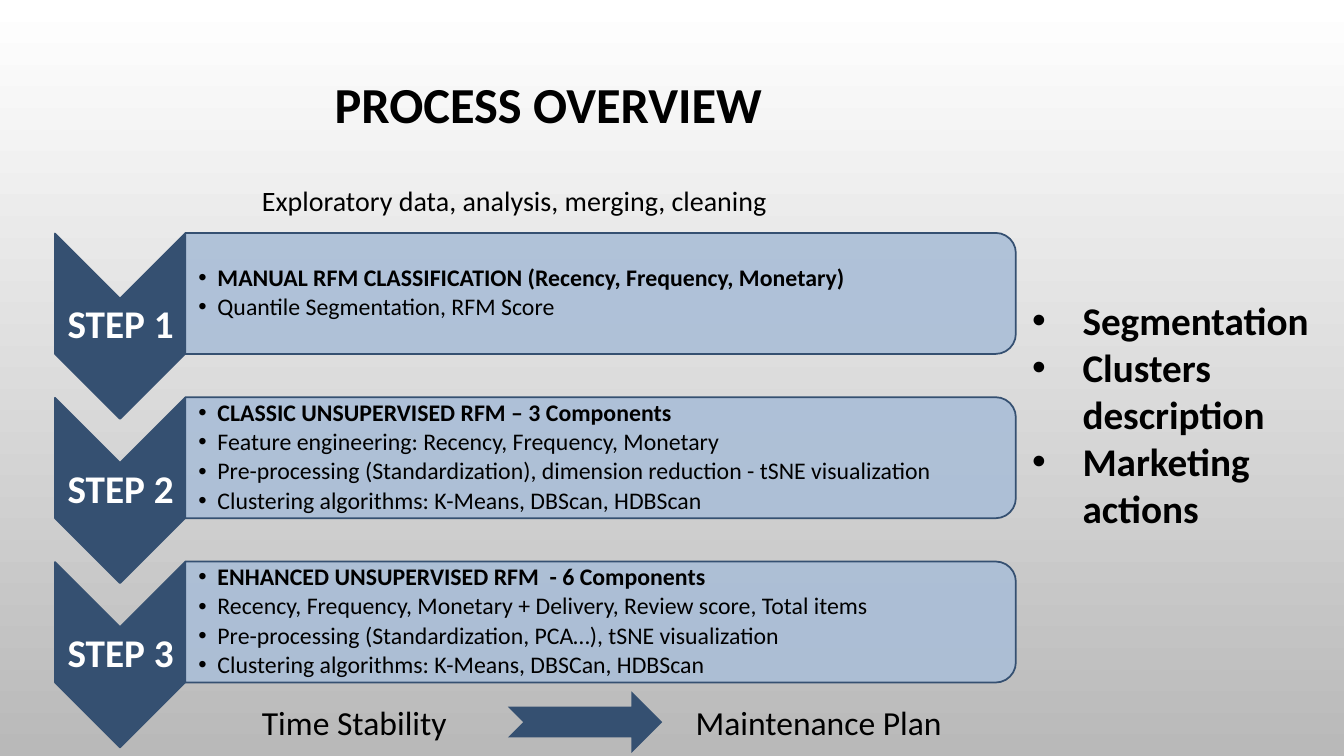
from dataclasses import dataclass

from lxml.etree import SubElement
from pptx import Presentation
from pptx.dml.color import RGBColor
from pptx.enum.shapes import MSO_SHAPE as Preset
from pptx.enum.text import MSO_ANCHOR as Anchor, MSO_AUTO_SIZE as AutoSize, PP_ALIGN as Align
from pptx.oxml.ns import qn
from pptx.shapes.autoshape import Shape
from pptx.slide import Slide
from pptx.text.text import TextFrame, _Paragraph as Paragraph
from pptx.util import Cm, Pt


@dataclass(frozen=True)
class Theme:
    font: str = "Calibri"
    ink: str = "000000"
    light: str = "FFFFFF"
    shade: str = "B9B9B9"
    navy: str = "355071"
    panel: str = "AABED7"
    panel_opacity: int = 90
    title: int = 36
    heading: int = 28
    closing: int = 24
    intro: int = 20
    detail: int = 17
    outline: float = 1.25


@dataclass(frozen=True)
class Box:
    left: float
    top: float
    width: float
    height: float

    def down(self, distance: float) -> "Box":
        return Box(self.left, self.top + distance, self.width, self.height)

    def lengths(self) -> tuple[Cm, Cm, Cm, Cm]:
        return Cm(self.left), Cm(self.top), Cm(self.width), Cm(self.height)


@dataclass(frozen=True)
class Step:
    label: str
    method: str
    details: tuple[str, ...]


THEME = Theme()
STEP_PITCH = 4.14
CHEVRON = Box(0.69, 6.58, 4.67, 3.28)
LABEL = Box(1.4, 7.52, 3.28, 1.4)
PANEL = Box(13.61, -3.07, 3.05, 20.93)
DETAILS = Box(4.67, 6.02, 20.78, 2.74)
STEPS = (
    Step("STEP 1", "MANUAL RFM CLASSIFICATION (Recency, Frequency, Monetary)",
         ("Quantile Segmentation, RFM Score",)),
    Step("STEP 2", "CLASSIC UNSUPERVISED RFM – 3 Components",
         ("Feature engineering: Recency, Frequency, Monetary",
          "Pre-processing (Standardization), dimension reduction - tSNE visualization",
          "Clustering algorithms: K-Means, DBScan, HDBScan")),
    Step("STEP 3", "ENHANCED UNSUPERVISED RFM  - 6 Components",
         ("Recency, Frequency, Monetary + Delivery, Review score, Total items",
          "Pre-processing (Standardization, PCA…), tSNE visualization",
          "Clustering algorithms: K-Means, DBSCan, HDBScan")),
)
OUTCOMES = ("Segmentation", "Clusters description", "Marketing actions")


def rgb(colour: str) -> RGBColor:
    return RGBColor.from_string(colour)


def write(paragraph: Paragraph, text: str, size: int, bold: bool = False,
          colour: str = THEME.ink) -> None:
    run = paragraph.add_run()
    run.text = text
    run.font.name = THEME.font
    run.font.size = Pt(size)
    run.font.bold = bold
    run.font.color.rgb = rgb(colour)


def place(shape: Shape, box: Box) -> None:
    shape.left, shape.top, shape.width, shape.height = box.lengths()


def set_frame(frame: TextFrame, anchor: Anchor, margins: tuple[float, float, float, float]) -> None:
    frame.word_wrap = True
    frame.auto_size = AutoSize.NONE
    frame.vertical_anchor = anchor
    (frame.margin_left, frame.margin_top,
     frame.margin_right, frame.margin_bottom) = map(Cm, margins)


def write_list(frame: TextFrame, items: tuple[tuple[str, bool], ...], size: int,
               indent: float, spacing: float, after: float) -> None:
    for index, (text, bold) in enumerate(items):
        paragraph = frame.add_paragraph() if index else frame.paragraphs[0]
        properties = paragraph._p.get_or_add_pPr()
        properties.set("marL", str(Cm(indent)))
        properties.set("indent", str(-Cm(indent)))
        SubElement(properties, qn("a:buFont"), typeface="Arial")
        SubElement(properties, qn("a:buChar"), char="•")
        paragraph.alignment = Align.LEFT
        paragraph.line_spacing = spacing
        paragraph.space_before = Pt(0)
        paragraph.space_after = Pt(after)
        write(paragraph, text, size, bold)


def add_block(slide: Slide, preset: Preset, box: Box, fill: str, rotation: int = 0) -> Shape:
    block = slide.shapes.add_shape(preset, *box.lengths())
    block.rotation = rotation
    block.shadow.inherit = False
    block.fill.solid()
    block.fill.fore_color.rgb = rgb(fill)
    block.line.color.rgb = rgb(THEME.navy)
    block.line.width = Pt(THEME.outline)
    return block


def add_step(slide: Slide, step: Step, offset: float, details: Shape) -> None:
    add_block(slide, Preset.CHEVRON, CHEVRON.down(offset), THEME.navy, 90)

    label = slide.shapes.add_textbox(*LABEL.down(offset).lengths()).text_frame
    set_frame(label, Anchor.MIDDLE, (0.05, 0.05, 0.05, 0.05))
    label.paragraphs[0].alignment = Align.CENTER
    label.paragraphs[0].line_spacing = 0.9
    write(label.paragraphs[0], step.label, THEME.heading, True, THEME.light)

    panel = add_block(slide, Preset.ROUND_2_SAME_RECTANGLE, PANEL.down(offset), THEME.panel, 90)
    colour = panel.fill._xPr.find(qn("a:solidFill"))[0]
    SubElement(colour, qn("a:alpha"), val=str(THEME.panel_opacity * 1000))

    place(details, DETAILS.down(offset))
    details.element.getparent().append(details.element)
    set_frame(details.text_frame, Anchor.MIDDLE, (0.33, 0.03, 0.03, 0.03))
    items = ((step.method, True), *((text, False) for text in step.details))
    write_list(details.text_frame, items, THEME.detail, 0.48, 0.9, 2.5)


def add_title(slide: Slide) -> None:
    title = slide.shapes.title
    place(title, Box(1.88, 1.7, 23.88, 2))
    set_frame(title.text_frame, Anchor.MIDDLE, (0.25, 0.13, 0.25, 0.13))
    heading = title.text_frame.paragraphs[0]
    heading.alignment = Align.CENTER
    heading.line_spacing = 0.9
    write(heading, "PROCESS OVERVIEW", THEME.title, True)


def add_intro(slide: Slide) -> None:
    intro = slide.shapes.add_textbox(*Box(6.35, 4.5, 13.34, 1.12).lengths())
    intro.text_frame.word_wrap = False
    write(intro.text_frame.paragraphs[0],
          "Exploratory data, analysis, merging, cleaning", THEME.intro)


def add_outcomes(slide: Slide, outcomes: Shape) -> None:
    place(outcomes, Box(25.76, 7.34, 8.1, 6.25))
    set_frame(outcomes.text_frame, Anchor.TOP, (0.25, 0.13, 0.25, 0.13))
    items = tuple((text, True) for text in OUTCOMES)
    write_list(outcomes.text_frame, items, THEME.heading, 1.27, 1.0, 0)


def add_closing(slide: Slide) -> None:
    closing = slide.shapes.add_textbox(*Box(6.35, 17.55, 18.97, 1.27).lengths())
    closing.text_frame.word_wrap = True
    follow_up = closing.text_frame.paragraphs[0]
    tabs = SubElement(follow_up._p.get_or_add_pPr(), qn("a:tabLst"))
    SubElement(tabs, qn("a:tab"), pos=str(Cm(10.93)), algn="l")
    write(follow_up, "Time Stability\t", THEME.closing)
    write(follow_up, "Maintenance Plan", THEME.closing)
    arrow = add_block(slide, Preset.NOTCHED_RIGHT_ARROW, Box(12.8, 17.42, 3.89, 1.55), THEME.navy)
    arrow.line.fill.background()


def main() -> None:
    deck = Presentation()
    deck.slide_width, deck.slide_height = Cm(33.87), Cm(19.05)
    slide = deck.slides.add_slide(deck.slide_layouts.get_by_name("Comparison"))

    backdrop = slide.background.fill
    backdrop.gradient()
    backdrop.gradient_angle = 270
    for stop, colour in zip(backdrop.gradient_stops, (THEME.light, THEME.shade)):
        stop.color.rgb = rgb(colour)

    _, *step_bodies, outcomes = slide.placeholders
    add_title(slide)
    for index, (step, details) in enumerate(zip(STEPS, step_bodies)):
        add_step(slide, step, index * STEP_PITCH, details)
    add_intro(slide)
    add_outcomes(slide, outcomes)
    add_closing(slide)
    deck.save("out.pptx")


if __name__ == "__main__":
    main()
